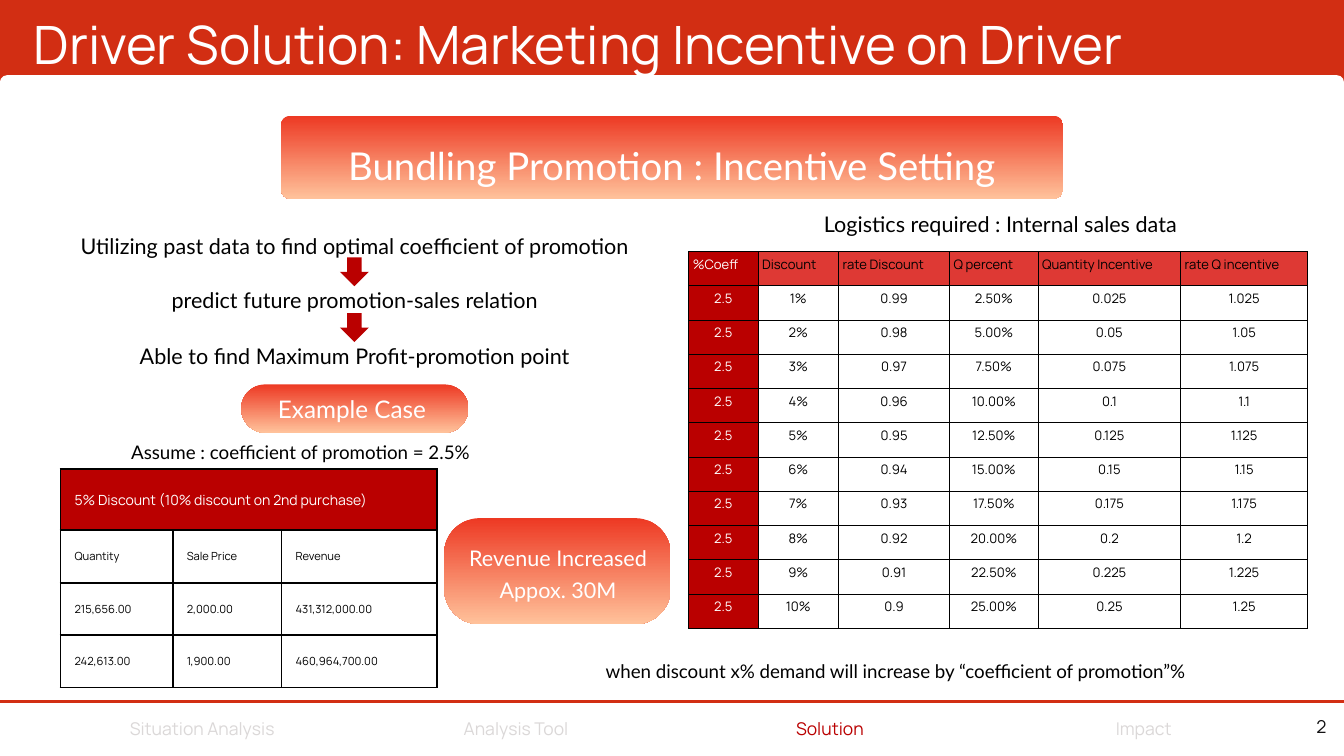
from lxml.etree import SubElement
from pptx import Presentation
from pptx.dml.color import RGBColor
from pptx.enum.shapes import MSO_CONNECTOR, MSO_SHAPE
from pptx.enum.text import MSO_ANCHOR, PP_ALIGN
from pptx.oxml.ns import qn
from pptx.util import Pt

# One px is a hundredth of an inch
PX = 9144
WIDTH, HEIGHT = 2000, 1125

WHITE = RGBColor(0xFF, 0xFF, 0xFF)
BLACK = RGBColor(0x00, 0x00, 0x00)
NEAR_BLACK = RGBColor(0x10, 0x0F, 0x10)
BRAND_RED = RGBColor(0xD2, 0x2E, 0x13)
DARK_RED = RGBColor(0xBA, 0x00, 0x00)
HEADER_RED = RGBColor(0xDE, 0x39, 0x34)
GRADIENT_TOP = RGBColor(0xED, 0x39, 0x23)
GRADIENT_BOTTOM = RGBColor(0xFF, 0xC2, 0x9B)
PALE_GREY = RGBColor(0xDB, 0xD8, 0xD8)

COEFFICIENT = 2.5


def px(*lengths):
    return [length * PX for length in lengths]


def format_text(frame, text, *, size, leading, font="Lato", color=BLACK,
                align=PP_ALIGN.CENTER, margin=0):
    frame.word_wrap = True
    frame.margin_left = frame.margin_right = margin * PX
    frame.margin_top = frame.margin_bottom = margin * PX
    paragraph = frame.paragraphs[0]
    paragraph.alignment = align
    paragraph.line_spacing = Pt(leading)
    run = paragraph.add_run()
    run.text = text
    run.font.size = Pt(size)
    run.font.name = font
    run.font.color.rgb = color


def add_text(slide, box, text, **text_format):
    format_text(slide.shapes.add_textbox(*px(*box)).text_frame, text, **text_format)


def add_plain_shape(slide, kind, box, color=None):
    shape = slide.shapes.add_shape(kind, *px(*box))
    shape.shadow.inherit = False
    shape.line.fill.background()
    if color is not None:
        shape.fill.solid()
        shape.fill.fore_color.rgb = color
    return shape


def add_gradient_panel(slide, box, radius):
    panel = add_plain_shape(slide, MSO_SHAPE.ROUNDED_RECTANGLE, box)
    panel.adjustments[0] = radius / box[3]
    panel.fill.gradient()
    panel.fill.gradient_angle = 270
    for stop, color in zip(panel.fill.gradient_stops, (GRADIENT_TOP, GRADIENT_BOTTOM)):
        stop.color.rgb = color


def set_borders(cell, points):
    properties = cell._tc.get_or_add_tcPr()
    for side in ("lnL", "lnR", "lnT", "lnB"):
        line = SubElement(properties, qn(f"a:{side}"), w=str(Pt(points)))
        SubElement(SubElement(line, qn("a:solidFill")), qn("a:srgbClr"), val=str(BLACK))


def add_grid(slide, left, top, columns, rows, border):
    """Add an unstyled table with the given column widths and row heights."""
    table = slide.shapes.add_table(
        len(rows), len(columns), *px(left, top, sum(columns), sum(rows))).table
    table.first_row = table.horz_banding = False
    for column, width in zip(table.columns, columns):
        column.width = width * PX
    for row, height in zip(table.rows, rows):
        row.height = height * PX
    for cell in table.iter_cells():
        set_borders(cell, border)
        cell.fill.background()
    return table


def fill_cell(cell, text, fill=None, **text_format):
    if fill is not None:
        cell.fill.solid()
        cell.fill.fore_color.rgb = fill
    margin = text_format["margin"] * PX
    cell.margin_left = cell.margin_right = margin
    cell.margin_top = cell.margin_bottom = margin
    cell.vertical_anchor = MSO_ANCHOR.MIDDLE
    format_text(cell.text_frame, text, font="Manrope", **text_format)


def add_frame(slide):
    # Red background, white sheet and footer rule
    slide.background.fill.solid()
    slide.background.fill.fore_color.rgb = BRAND_RED
    sheet = add_plain_shape(slide, MSO_SHAPE.ROUND_2_SAME_RECTANGLE,
                            (0, 112, WIDTH, HEIGHT - 112), WHITE)
    sheet.adjustments[0] = 0.01
    rule = slide.shapes.add_connector(MSO_CONNECTOR.STRAIGHT, *px(0, 1044, WIDTH, 1044))
    rule.line.color.rgb = BRAND_RED
    rule.line.width = Pt(3)
    SubElement(rule._element.spPr, qn("a:effectLst"))
    add_text(slide, (50, 1, 1940, 111), "Driver Solution: Marketing Incentive on Driver",
             size=56.6, leading=79.3, font="Manrope", color=WHITE, align=PP_ALIGN.LEFT)


def add_banner(slide, left, top, width, height):
    add_gradient_panel(slide, (left, top, width, height), 15)
    add_text(slide, (left, top - 3, width, 99), "Bundling Promotion : Incentive Setting",
             size=41.1, leading=79.7, color=WHITE)


def add_steps(slide, left, top, width):
    # Three steps joined by block arrows
    steps = (
        "Utilizing past data to find optimal coefficient of promotion",
        "predict future promotion-sales relation",
        "Able to find Maximum Profit-promotion point",
    )
    pitch, arrow = 83, 43
    for index, step in enumerate(steps):
        step_top = top + index * pitch
        add_text(slide, (left, step_top, width, 43), step, size=23.1,
                 leading=32.3 if index else 33.9)
        if index < len(steps) - 1:
            add_plain_shape(slide, MSO_SHAPE.DOWN_ARROW,
                            (left + (width - arrow) // 2, step_top + 45, arrow, arrow),
                            DARK_RED)


def add_incentive_table(slide, left, top):
    add_text(slide, (left + 64, top - 68, 800, 44), "Logistics required : Internal sales data",
             size=23.1, leading=33.9)
    headers = ("%Coeff", "Discount", "rate Discount", "Q percent",
               "Quantity Incentive", "rate Q incentive")
    records = [headers]
    for discount in range(1, 11):
        percent = COEFFICIENT * discount
        incentive = percent / 100
        records.append((f"{COEFFICIENT}", f"{discount}%", f"{1 - discount / 100:g}",
                        f"{percent:.2f}%", f"{incentive:g}", f"{1 + incentive:g}"))
    table = add_grid(slide, left, top, (103, 120, 165, 132, 212, 189),
                     [51] * len(records), 0.75)
    for row, record in enumerate(records):
        for column, text in enumerate(record):
            header_fill = HEADER_RED if row == 0 else None
            fill_cell(table.cell(row, column), text,
                      fill=header_fill if column else DARK_RED,
                      color=BLACK if column else WHITE,
                      align=PP_ALIGN.CENTER if row else PP_ALIGN.LEFT,
                      size=14, leading=9.7, margin=6)


def add_example(slide, left, top):
    # Heading pill and assumption
    add_gradient_panel(slide, (left + 269, top, 338, 72), 36)
    add_text(slide, (left + 277, top + 8, 314, 49), "Example Case",
             size=26, leading=36.4, color=WHITE)
    add_text(slide, (left - 90, top + 76, 894, 39), "Assume : coefficient of promotion = 2.5%",
             size=20.1, leading=29.5)

    # Revenue table
    records = (
        ("Quantity", "Sale Price", "Revenue"),
        ("215,656.00", "2,000.00", "431,312,000.00"),
        ("242,613.00", "1,900.00", "460,964,700.00"),
    )
    table = add_grid(slide, left, top + 126, (167, 162, 231), (91, 78, 78, 78), 2.25)
    table.cell(0, 0).merge(table.cell(0, 2))
    fill_cell(table.cell(0, 0), "5% Discount (10% discount on 2nd purchase)", fill=DARK_RED,
              color=WHITE, size=15, leading=21, align=PP_ALIGN.LEFT, margin=21)
    for row, record in enumerate(records, start=1):
        for column, text in enumerate(record):
            fill_cell(table.cell(row, column), text, size=12, leading=16.8,
                      align=PP_ALIGN.LEFT, margin=21)

    # Result callout
    add_gradient_panel(slide, (left + 571, top + 199, 337, 158), 53)
    add_text(slide, (left + 571, top + 231, 339, 90), "Revenue Increased Appox. 30M",
             size=23.1, leading=33.9, color=WHITE)


def add_footer(slide, left, top, pitch):
    sections = ("Situation Analysis", "Analysis Tool", "Solution", "Impact")
    for index, section in enumerate(sections):
        add_text(slide, (left + index * pitch, top, 292, 37), section,
                 size=18.8, leading=26.3, font="Manrope",
                 color=DARK_RED if section == "Solution" else PALE_GREY)
    add_text(slide, (1920, top + 13, 54, 26), "2", size=19, leading=15,
             font="Manrope", color=NEAR_BLACK, align=PP_ALIGN.RIGHT)


def main():
    presentation = Presentation()
    presentation.slide_width, presentation.slide_height = px(WIDTH, HEIGHT)
    slide = presentation.slides.add_slide(presentation.slide_layouts[6])
    add_frame(slide)
    add_banner(slide, 418, 172, 1164, 124)
    add_steps(slide, 4, 338, 1048)
    add_incentive_table(slide, 1025, 374)
    add_example(slide, 90, 572)
    add_text(slide, (801, 975, 1063, 39),
             "when discount x% demand will increase by “coefficient of promotion”%",
             size=20.1, leading=29.5)
    add_footer(slide, 155, 1063, 467)
    presentation.save("out.pptx")


if __name__ == "__main__":
    main()
